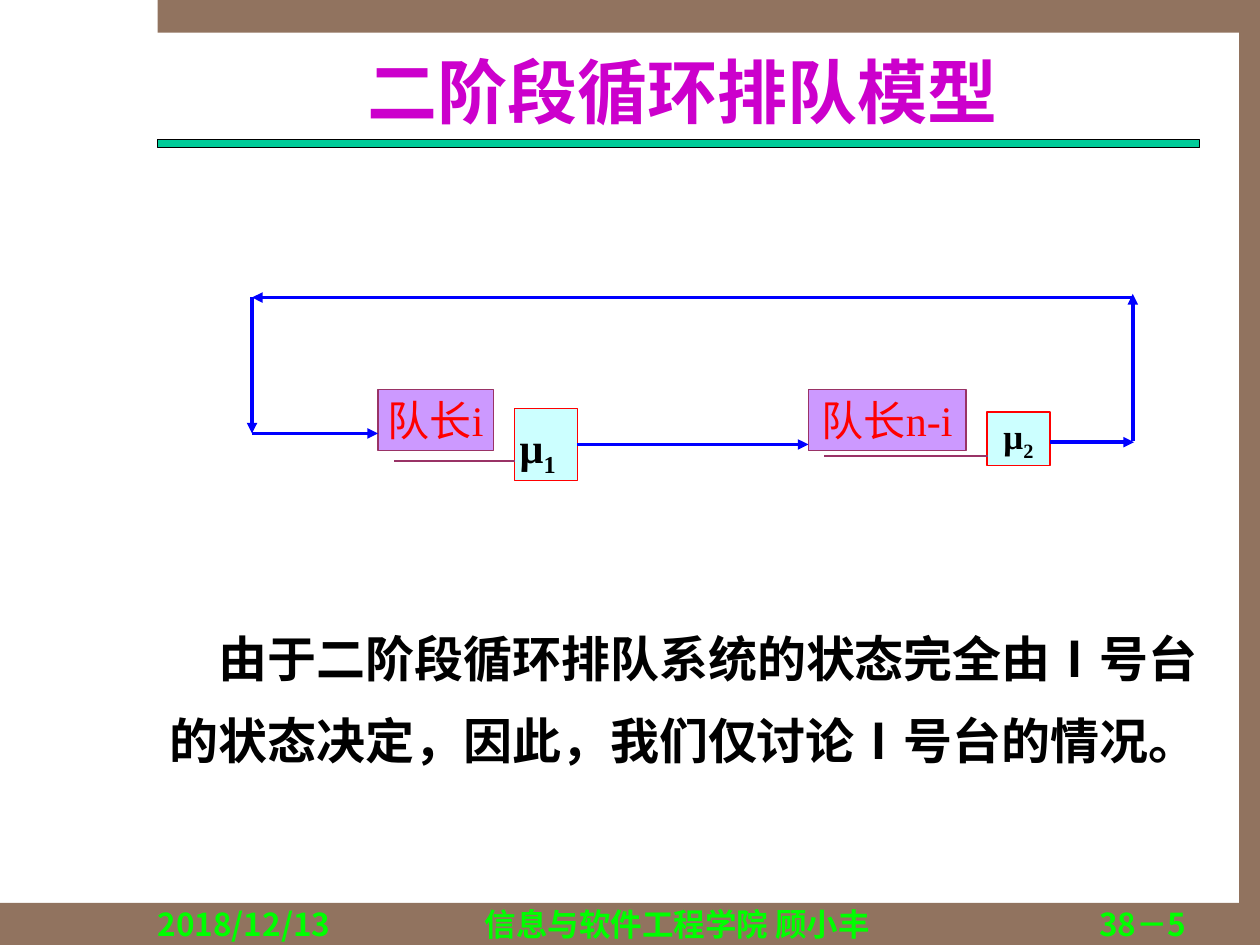
from dataclasses import dataclass

from lxml import etree
from pptx import Presentation
from pptx import util as u
from pptx.dml import color
from pptx.enum import shapes, text
from pptx.oxml import ns


@dataclass(frozen=True)
class Theme:
    """Colours, fonts and type sizes of the deck."""
    frame: str = "91735F"
    rule: str = "00CC99"
    title: str = "CC00CC"
    ink: str = "000000"
    footer: str = "00FF00"
    server: str = "CCFFFF"
    queue: str = "CC99FF"
    queue_line: str = "993366"
    accent: str = "FF0000"
    flow: str = "0000FF"
    serif: str = "Times New Roman"
    sans: str = "Noto Sans CJK SC"
    title_size: float = 40
    body_size: float = 28
    queue_size: float = 24
    server_size: float = 20
    footer_size: float = 18


THEME = Theme()
ALIGN = text.PP_ALIGN
SHAPE = shapes.MSO_SHAPE


def rgb(value):
    """Return a colour object for a hex string."""
    return color.RGBColor.from_string(value)


def add_box(page, box, fill, line=None, kind=SHAPE.RECTANGLE):
    """Add a flat filled shape with an optional thin outline."""
    shape = page.shapes.add_shape(kind, *map(u.Pt, box))
    shape.shadow.inherit = False
    shape.fill.solid()
    shape.fill.fore_color.rgb = rgb(fill)
    if line:
        shape.line.color.rgb = rgb(line)
        shape.line.width = u.Pt(0.75)
    else:
        shape.line.fill.background()
    return shape


def write(shape, parts, size, ink, font=THEME.serif, bold=True,
          align=ALIGN.CENTER, anchor=text.MSO_ANCHOR.TOP, inset=(0, 0)):
    """Write one paragraph, with any second part as a subscript."""
    frame = shape.text_frame
    frame.word_wrap = True
    frame.auto_size = text.MSO_AUTO_SIZE.NONE
    frame.vertical_anchor = anchor
    frame.margin_left = frame.margin_right = u.Pt(inset[0])
    frame.margin_top = frame.margin_bottom = u.Pt(inset[1])
    para = frame.paragraphs[0]
    para.alignment = align
    for index, part in enumerate(parts):
        span = para.add_run()
        span.text = part
        span.font.name = font
        span.font.size = u.Pt(size)
        span.font.bold = bold
        span.font.color.rgb = rgb(ink)
        props = span.font._element
        props.find(ns.qn("a:latin")).addnext(
            etree.Element(ns.qn("a:ea"), typeface=THEME.sans))
        if index:
            props.set("baseline", "-25000")
    return para


def add_arrow(page, start, end):
    """Add a flow line with an arrowhead at its end."""
    arrow = page.shapes.add_connector(
        shapes.MSO_CONNECTOR.STRAIGHT, *map(u.Pt, (*start, *end)))
    arrow.line.color.rgb = rgb(THEME.flow)
    arrow.line.width = u.Pt(2)
    etree.SubElement(arrow.line._get_or_add_ln(), ns.qn("a:tailEnd"), type="triangle")
    etree.SubElement(arrow._element.spPr, ns.qn("a:effectLst"))
    return arrow


def add_frame(page, box):
    """Draw the brown border bands and the green title rule."""
    left, top, width, height = box
    for band in ((left, top + height - 24, width, 24),
                 (left + 90, top, width - 90, 18.7),
                 (left + width - 12, top + 18, 12, height - 42)):
        add_box(page, band, THEME.frame)
    add_box(page, (left + 90, top + 79.8, 595.5, 4.5), THEME.rule, THEME.ink)


def add_title(page, box):
    """Write the slide title."""
    title = page.shapes.add_textbox(*map(u.Pt, box))
    write(title, ["二阶段循环排队模型"], THEME.title_size, THEME.title,
          anchor=text.MSO_ANCHOR.MIDDLE)


def add_queue(page, box, label, adjustments):
    """Draw a queue callout whose leader points to its server."""
    queue = add_box(page, box, THEME.queue, THEME.queue_line, SHAPE.LINE_CALLOUT_1)
    for index, value in enumerate(adjustments):
        queue.adjustments[index] = value
    write(queue, [label], THEME.queue_size, THEME.accent, bold=False, inset=(3, 3))


def add_server(page, box, number, size, align):
    """Draw a server box labelled with its service rate."""
    server = add_box(page, box, THEME.server, THEME.accent)
    para = write(server, ["μ", number], size, THEME.ink, align=align,
                 anchor=text.MSO_ANCHOR.MIDDLE, inset=(3, 3))
    return server, para


def add_loop(page, box):
    """Draw the two-stage cyclic queue."""
    left, top, width, _ = box

    def at(x, y):
        return left + x, top + y

    first, para = add_server(page, (*at(150, 65.5), 36, 41), "1",
                             THEME.queue_size, ALIGN.LEFT)
    para.line_spacing = 1.2
    add_server(page, (*at(420, 67.5), 36, 30.5), "2", THEME.server_size, ALIGN.CENTER)
    add_arrow(page, at(186, 86), at(318, 86)).begin_connect(first, 3)
    add_queue(page, (*at(72, 54.5), 66, 35), "队长i", (1.17, 0.14, 1.17, 1.19))
    add_queue(page, (*at(318, 54.5), 90, 35), "队长n-i", (1.09, 0.1, 1.09, 1.14))
    for start, end in (((456, 84.7), (width, 84.7)),
                       ((width - 0.7, 84), (width - 0.7, 0)),
                       ((width, 2), (0, 2)),
                       ((0, 2), (0, 79.7)),
                       ((0, 79.7), (72, 79.7))):
        add_arrow(page, at(*start), at(*end))


def add_body(page, box):
    """Write the explanation with an indented first line."""
    body = page.shapes.add_textbox(*map(u.Pt, box))
    para = write(body, ["由于二阶段循环排队系统的状态完全由Ⅰ号台的状态决定，"
                        "因此，我们仅讨论Ⅰ号台的情况。"],
                 THEME.body_size, THEME.ink, align=ALIGN.LEFT, inset=(7.2, 3.6))
    para.line_spacing = 1.4
    para._p.get_or_add_pPr().set("indent", str(u.Pt(THEME.body_size)))


def add_footer(page, box):
    """Write the date, author and page number."""
    left, top, _, height = box
    for offset, width, label, align in (
            (0, 132, "2018/12/13", ALIGN.LEFT),
            (132, 330, "信息与软件工程学院 顾小丰", ALIGN.CENTER),
            (468, 120, "38－5", ALIGN.RIGHT)):
        item = page.shapes.add_textbox(*map(u.Pt, (left + offset, top, width, height)))
        write(item, [label], THEME.footer_size, THEME.footer, THEME.sans, align=align)


def main():
    """Build and save the deck."""
    deck = Presentation()
    deck.slide_width, deck.slide_height = u.Pt(720), u.Pt(540)
    page = deck.slides.add_slide(deck.slide_layouts[6])
    add_frame(page, (0, 0, 720, 540))
    add_title(page, (96, 27.5, 588, 48))
    add_loop(page, (144, 168, 504, 107))
    add_body(page, (90, 342, 612, 101.5))
    add_footer(page, (90, 517, 588, 21.5))
    deck.save("out.pptx")


if __name__ == "__main__":
    main()
